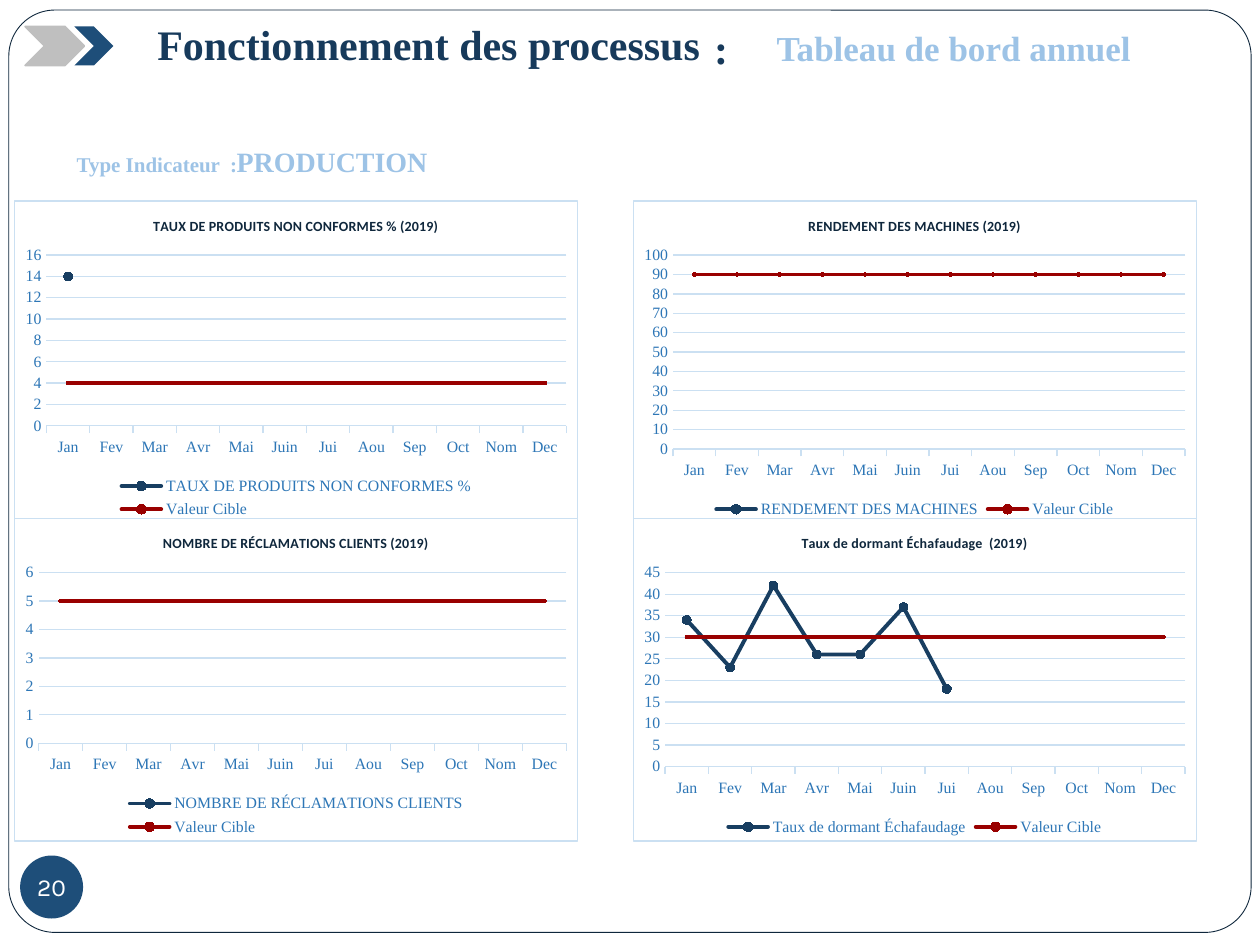
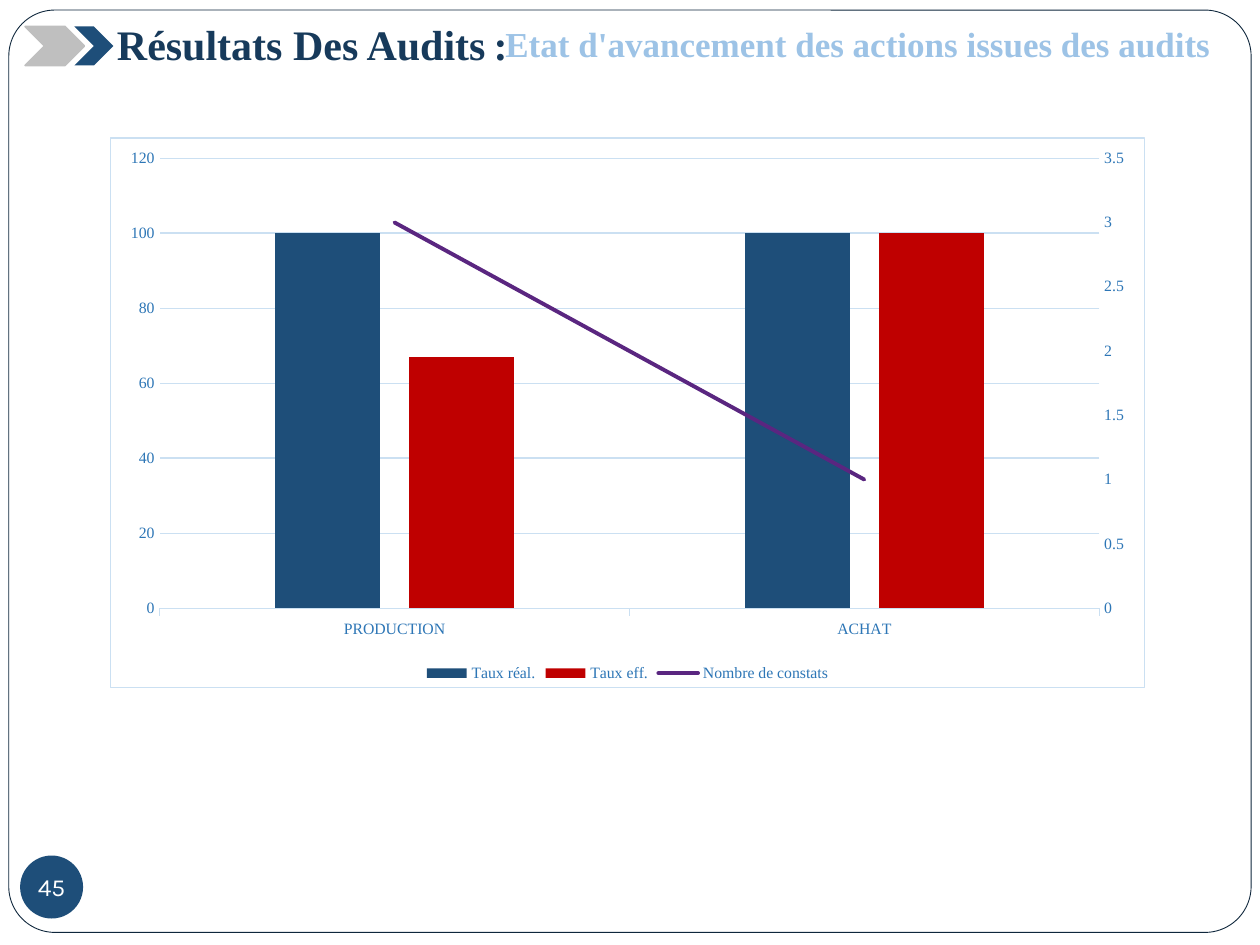
from collections import namedtuple
from copy import deepcopy

from lxml.etree import SubElement
from pptx import Presentation
from pptx.chart.data import CategoryChartData as Data
from pptx.dml.color import RGBColor as Rgb
from pptx.enum.chart import XL_CHART_TYPE as Kind, XL_LEGEND_POSITION as Spot
from pptx.enum.chart import XL_MARKER_STYLE as Mark, XL_TICK_MARK as Tick
from pptx.enum.shapes import MSO_SHAPE as Form
from pptx.enum.text import MSO_ANCHOR as Anchor, PP_ALIGN as Align
from pptx.oxml import parse_xml
from pptx.oxml.ns import nsdecls, qn
from pptx.util import Inches, Pt

HUES = {
    "white": "FFFFFF", "ink": "0F273C", "title": "173A5B", "pale": "9DC3E6",
    "navy": "1E4E79", "grey": "BFBFBF", "label": "2D76B6", "grid": "CBE0F2",
    "red": "BF0000", "deep": "183E61", "wine": "990000", "plum": "5A2680",
}
SERIF = "Times New Roman"
COLS, ROWS = 100, 75
CELL = Inches(0.1)
MONTHS = "Jan Fev Mar Avr Mai Juin Jui Aou Sep Oct Nom Dec".split()
Box = namedtuple("Box", "x y w h")
PAGE = Box(0, 0, COLS, ROWS)
HEAD = Box(0, 0, COLS, 8)
Panel = namedtuple("Panel", "title name vals goal top step")
PANELS = [
    Panel("TAUX DE PRODUITS NON CONFORMES % (2019)",
          "TAUX DE PRODUITS NON CONFORMES %", [14], 4, 16, 2),
    Panel("RENDEMENT DES MACHINES (2019)",
          "RENDEMENT DES MACHINES", [], 90, 100, 10),
    Panel("NOMBRE DE RÉCLAMATIONS CLIENTS (2019)",
          "NOMBRE DE RÉCLAMATIONS CLIENTS", [], 5, 6, 1),
    Panel("Taux de dormant Échafaudage  (2019)",
          "Taux de dormant Échafaudage", [34, 23, 42, 26, 26, 37, 18], 30, 45, 5),
]


def hue(name):
    """Return the named colour."""
    return Rgb.from_string(HUES[name])


def place(box, x, y, w, h):
    """Turn a place inside a box into slide lengths."""
    return [round(n * CELL) for n in (box.x + x, box.y + y, w, h)]


def style(font, size, color, bold=False, face=SERIF):
    """Set the look of a font."""
    font.name, font.size, font.bold = face, Pt(size), bold
    font.color.rgb = hue(color)


def stroke(line, color, width):
    """Set the colour and width of a line."""
    line.color.rgb = hue(color)
    line.width = Pt(width)


def shape(slide, form, spot, fill, edge=None, width=1):
    """Add a flat preset shape."""
    item = slide.shapes.add_shape(form, *spot)
    item.shadow.inherit = False
    item.fill.solid()
    item.fill.fore_color.rgb = hue(fill)
    if edge:
        stroke(item.line, edge, width)
    else:
        item.line.fill.background()
    return item


def write(slide, spot, text, size, color, align=Align.LEFT):
    """Add one line of bold text."""
    frame = slide.shapes.add_textbox(*spot).text_frame
    frame.word_wrap = True
    frame.text = text
    para = frame.paragraphs[0]
    para.alignment = align
    style(para.runs[0].font, size, color, True)


def base(deck, page):
    """Add a slide with its frame, chevrons and page number."""
    slide = deck.slides.add_slide(deck.slide_layouts[6])
    frame = shape(slide, Form.ROUNDED_RECTANGLE,
                  place(PAGE, 0.7, 0.8, 98.6, 73.2), "white", "ink", 0.5)
    frame.adjustments[0] = 0.05
    shape(slide, Form.CHEVRON, place(HEAD, 2, 2.1, 4.7, 3.1), "grey", "grey")
    shape(slide, Form.CHEVRON, place(HEAD, 5.9, 2.1, 3.1, 3.1), "navy")
    badge = shape(slide, Form.OVAL, place(PAGE, 1.6, 67.9, 5, 5), "navy")
    text = badge.text_frame
    text.margin_left = text.margin_right = text.margin_top = text.margin_bottom = 0
    text.vertical_anchor, text.word_wrap = Anchor.MIDDLE, False
    text.text = page
    text.paragraphs[0].alignment = Align.CENTER
    style(text.paragraphs[0].runs[0].font, 14, "white", face="Karla")
    return slide


def head(slide, box, title, left, colon, drop, sub, spot):
    """Write the title, its colon and the subtitle."""
    write(slide, place(box, left, 1, 48, 5), title, 24, "title")
    write(slide, place(box, colon, drop, 3, 5), ":", 24, "title")
    write(slide, place(box, *spot), sub, 20, "pale", Align.CENTER)


def graph(slide, box, kind, cats, rows, top, step):
    """Add a chart with the shared frame, axes and legend."""
    data = Data()
    data.categories = cats
    for name, vals in rows:
        data.add_series(name, vals)
    chart = slide.shapes.add_chart(kind, *place(box, 0, 0, box.w, box.h), data).chart
    style(chart.font, 10, "ink")
    chart.has_title = False
    chart.has_legend = True
    chart.legend.position = Spot.BOTTOM
    chart.legend.include_in_layout = False
    style(chart.legend.font, 9, "label")
    cat, val = chart.category_axis, chart.value_axis
    for axis, tick in ((cat, Tick.OUTSIDE), (val, Tick.NONE)):
        axis.major_tick_mark, axis.minor_tick_mark = tick, Tick.NONE
        style(axis.tick_labels.font, 9, "label")
    stroke(cat.format.line, "grid", 0.75)
    val.format.line.fill.background()
    val.has_major_gridlines = True
    stroke(val.major_gridlines.format.line, "grid", 0.75)
    val.minimum_scale, val.maximum_scale, val.major_unit = 0, top, step
    border(chart)
    return chart


def border(chart):
    """Give the chart area a white fill and a thin square edge."""
    body = chart.element.find(qn("c:chart"))
    if chart.element.find(qn("c:roundedCorners")) is None:
        body.addprevious(parse_xml(f'<c:roundedCorners {nsdecls("c")} val="0"/>'))
    body.addnext(parse_xml(
        f'<c:spPr {nsdecls("c", "a")}><a:solidFill><a:srgbClr val="{HUES["white"]}"/>'
        f'</a:solidFill><a:ln w="{Pt(0.75)}"><a:solidFill>'
        f'<a:srgbClr val="{HUES["grid"]}"/></a:solidFill></a:ln></c:spPr>'))


def trace(series, color, size=0):
    """Draw a straight line series, with round markers if sized."""
    series.smooth = False
    stroke(series.format.line, color, 2.25)
    series.format.line._get_or_add_ln().set("cap", "rnd")
    mark = series.marker
    mark.style = Mark.CIRCLE if size else Mark.NONE
    if size:
        mark.size = size
        mark.format.fill.solid()
        mark.format.fill.fore_color.rgb = hue(color)
        stroke(mark.format.line, color, 0.75)


def gauge(slide, box, panel):
    """Plot one indicator by month against its target."""
    count = len(MONTHS)
    vals = panel.vals + [None] * (count - len(panel.vals))
    rows = [(panel.name, vals), ("Valeur Cible", [panel.goal] * count)]
    chart = graph(slide, box, Kind.LINE_MARKERS, MONTHS, rows, panel.top, panel.step)
    chart.has_title = True
    title = chart.chart_title
    title.include_in_layout = True
    title.text_frame.text = panel.title
    style(title.text_frame.paragraphs[0].runs[0].font, 8, "ink", True, "Calibri")
    for series, color, size in zip(chart.plots[0].series, ("deep", "wine"), (5, 2)):
        trace(series, color, size)


def split(chart, top, step):
    """Move the last bar series to a line on a right-hand axis."""
    bars = chart.plots[0]
    plot = chart.element.find(".//" + qn("c:plotArea"))
    bar = plot.find(qn("c:barChart"))
    row = bar.findall(qn("c:ser"))[-1]
    line = parse_xml(f'<c:lineChart {nsdecls("c")}><c:grouping val="standard"/>'
                     '<c:varyColors val="0"/></c:lineChart>')
    flip = row.find(qn("c:invertIfNegative"))
    if flip is not None:
        row.remove(flip)
    line.append(row)
    SubElement(line, qn("c:marker")).set("val", "1")
    bar.addnext(line)
    val, cat = plot.find(qn("c:valAx")), plot.find(qn("c:catAx"))
    right, under = deepcopy(val), deepcopy(cat)
    for axis, own, other in ((under, "5001", "5002"), (right, "5002", "5001")):
        axis.find(qn("c:axId")).set("val", own)
        axis.find(qn("c:crossAx")).set("val", other)
        SubElement(line, qn("c:axId")).set("val", own)
    under.find(qn("c:delete")).set("val", "1")
    right.find(qn("c:axPos")).set("val", "r")
    right.find(qn("c:crosses")).set("val", "max")
    right.remove(right.find(qn("c:majorGridlines")))
    right.find(".//" + qn("c:max")).set("val", str(top))
    right.find(qn("c:majorUnit")).set("val", str(step))
    val.addnext(right)
    right.addnext(under)
    return bars, chart.plots[1]


def audit(slide, box):
    """Plot audit rates as bars and findings as a line."""
    rows = [("Taux réal.", [100, 100]), ("Taux eff.", [67, 100]),
            ("Nombre de constats", [3, 1])]
    chart = graph(slide, box, Kind.COLUMN_CLUSTERED, ["PRODUCTION", "ACHAT"],
                  rows, 120, 20)
    bars, line = split(chart, 3.5, 0.5)
    bars.gap_width, bars.overlap, bars.vary_by_categories = 219, -27, False
    for series, color in zip(bars.series, ("navy", "red")):
        series.format.fill.solid()
        series.format.fill.fore_color.rgb = hue(color)
    trace(line.series[0], "plum")


def board(deck):
    """Build the yearly dashboard slide."""
    slide = base(deck, "20")
    head(slide, HEAD, "Fonctionnement des processus", 11.5, 55.7, 1.3,
         "Tableau de bord annuel", (55.7, 1.6, 40, 4.4))
    write(slide, place(PAGE, 5.1, 11.5, 33.1, 3), "Type Indicateur  :", 12, "pale")
    write(slide, place(PAGE, 17.8, 11, 40, 3.7), "PRODUCTION", 16, "pale")
    for spot, panel in enumerate(PANELS):
        row, col = divmod(spot, 2)
        gauge(slide, Box(1.1 + 49.1 * col, 15.9 + 25.2 * row, 44.8, 25.7), panel)


def review(deck):
    """Build the audit results slide."""
    slide = base(deck, "45")
    head(slide, HEAD, "Résultats Des Audits", 8.3, 38.2, 1,
         "Etat d'avancement des actions issues des audits", (37.1, 1.3, 62, 4.4))
    audit(slide, Box(8.7, 10.9, 82.2, 43.7))


def main():
    """Build and save the deck."""
    deck = Presentation()
    deck.slide_width, deck.slide_height = COLS * CELL, ROWS * CELL
    board(deck)
    review(deck)
    deck.save("out.pptx")


if __name__ == "__main__":
    main()
